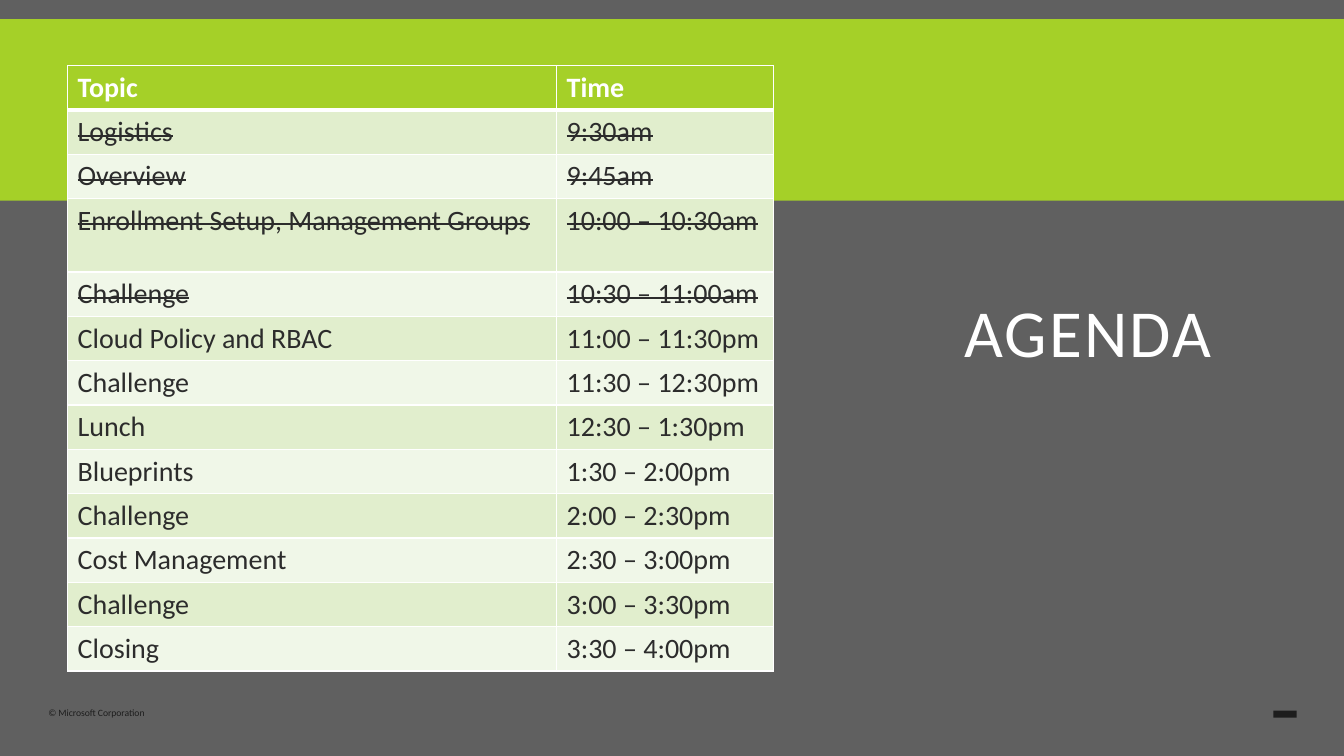
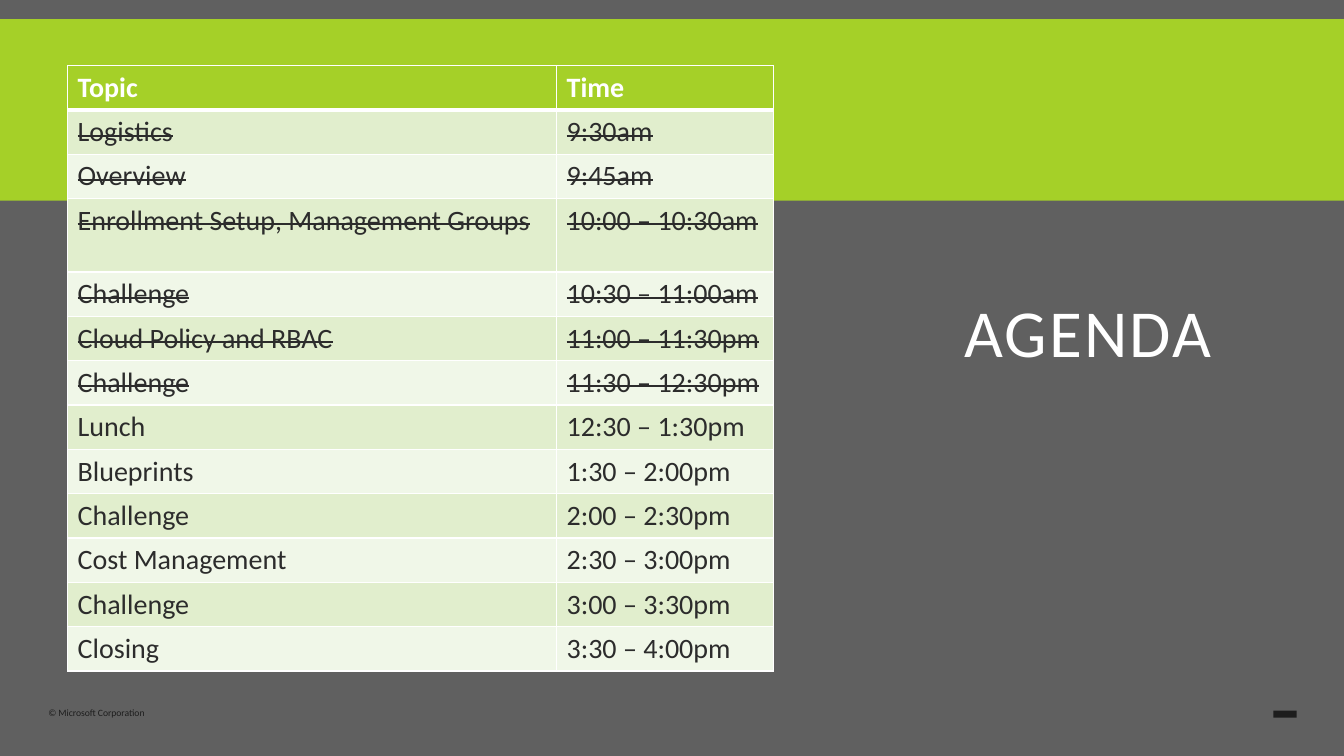
from lxml import etree
from pptx import Presentation
from pptx import util as u
from pptx.dml.color import RGBColor
from pptx.enum import shapes, text
from pptx.oxml.ns import qn

HEX = {
    "back": "606060",
    "band": "A5D028",
    "odd": "E1EECD",
    "even": "F0F7E8",
    "ink": "2C2C2C",
    "foot": "1D1D1D",
    "white": "FFFFFF",
}
FONT = "Calibri"
TITLE = "AGENDA"
OWNER = "© Microsoft Corporation"
HEAD = ("Topic", "Time")
PLAN = [
    ("Logistics", "9:30am"),
    ("Overview", "9:45am"),
    ("Enrollment Setup, Management Groups", "10:00 – 10:30am"),
    ("Challenge", "10:30 – 11:00am"),
    ("Cloud Policy and RBAC", "11:00 – 11:30pm"),
    ("Challenge", "11:30 – 12:30pm"),
    ("Lunch", "12:30 – 1:30pm"),
    ("Blueprints", "1:30 – 2:00pm"),
    ("Challenge", "2:00 – 2:30pm"),
    ("Cost Management", "2:30 – 3:00pm"),
    ("Challenge", "3:00 – 3:30pm"),
    ("Closing", "3:30 – 4:00pm"),
]
DONE = [4, 6]
COLS = (4.85, 2.15)
ROW, TALL, TALL_ROW = 0.44, 0.73, 3


def rgb(name):
    return RGBColor.from_string(HEX[name])


def box(*nums):
    return [u.Inches(n) for n in nums]


def style(para, size, color, bold=False):
    font = para.font
    font.name, font.size, font.bold = FONT, u.Pt(size), bold
    font.color.rgb = rgb(color)


def block(slide, area, color):
    shape = slide.shapes.add_shape(shapes.MSO_SHAPE.RECTANGLE, *box(*area))
    shape.shadow.inherit = False
    shape.fill.solid()
    shape.fill.fore_color.rgb = rgb(color)
    shape.line.fill.background()


def frame(slide):
    block(slide, (0, 0.19, 13.33, 1.8), "band")
    block(slide, (12.63, 7.05, 0.23, 0.07), "foot")
    foot = slide.shapes.add_textbox(*box(0.48, 7.03, 1.03, 0.1)).text_frame
    foot.margin_left = foot.margin_right = foot.margin_top = foot.margin_bottom = 0
    foot.word_wrap = False
    para = foot.paragraphs[0]
    para.text = OWNER
    para.line_spacing = 0.9
    style(para, 6.9, "foot")


def title(slide):
    shape = slide.shapes.title
    shape.left, shape.top, shape.width, shape.height = box(8.6, 2.4, 4.38, 1.9)
    shape.text_frame.vertical_anchor = text.MSO_ANCHOR.MIDDLE
    para = shape.text_frame.paragraphs[0]
    para.text = TITLE
    para.alignment = text.PP_ALIGN.CENTER
    para.line_spacing = 0.8
    style(para, 48, "white")
    para.runs[0]._r.get_or_add_rPr().set("spc", "150")


def edge(cell, row):
    props = cell._tc.get_or_add_tcPr()
    wide = {"T": 3 if row == 1 else 1, "B": 3 if row == 0 else 1}
    for spot, side in enumerate("LRTB"):
        line = etree.Element(qn("a:ln" + side), w=str(u.Pt(wide.get(side, 1))))
        fill = etree.SubElement(line, qn("a:solidFill"))
        etree.SubElement(fill, qn("a:srgbClr"), val=HEX["white"])
        props.insert(spot, line)


def agenda(slide, done):
    rows = [HEAD] + PLAN
    highs = [TALL if n == TALL_ROW else ROW for n in range(len(rows))]
    area = box(0.67, 0.65, sum(COLS), sum(highs))
    table = slide.shapes.add_table(len(rows), len(COLS), *area).table
    for col, wide in zip(table.columns, COLS):
        col.width = u.Inches(wide)
    for n, (row, high) in enumerate(zip(rows, highs)):
        table.rows[n].height = u.Inches(high)
        shade = "band" if n == 0 else "odd" if n % 2 else "even"
        for c, words in enumerate(row):
            cell = table.cell(n, c)
            cell.fill.solid()
            cell.fill.fore_color.rgb = rgb(shade)
            edge(cell, n)
            para = cell.text_frame.paragraphs[0]
            para.text = words
            style(para, 20, "ink" if n else "white", n == 0)
            if 1 <= n <= done:
                para.runs[0]._r.get_or_add_rPr().set("strike", "sngStrike")


def main():
    deck = Presentation()
    deck.slide_width, deck.slide_height = box(13.33, 7.5)
    back = deck.slide_master.background.fill
    back.solid()
    back.fore_color.rgb = rgb("back")
    for done in DONE:
        slide = deck.slides.add_slide(deck.slide_layouts[5])
        frame(slide)
        title(slide)
        agenda(slide, done)
    deck.save("out.pptx")


if __name__ == "__main__":
    main()
